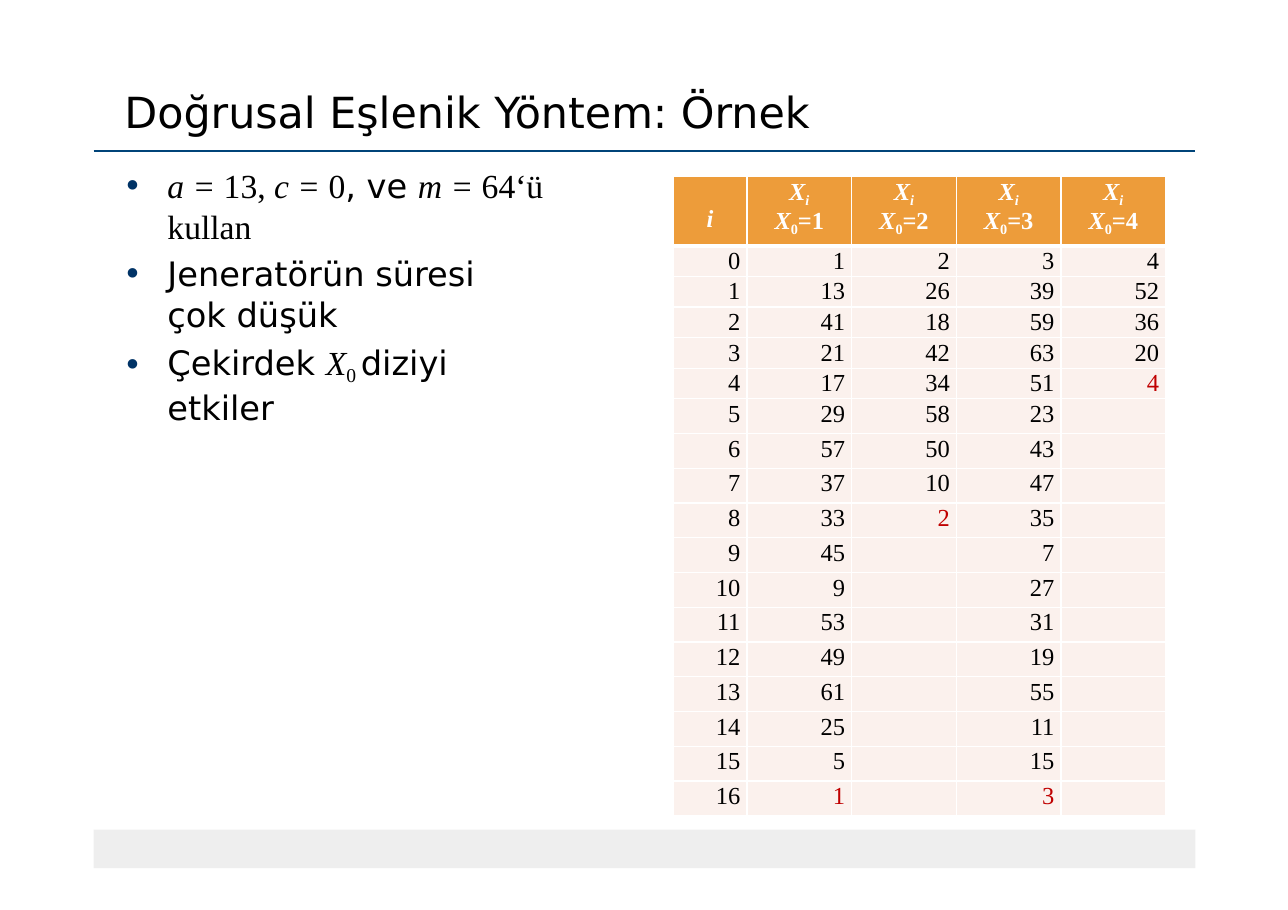
import lxml.etree
import pptx
import pptx.dml.color
import pptx.enum.shapes
import pptx.enum.text
import pptx.oxml.ns
import pptx.util

Inches = pptx.util.Inches
Pt = pptx.util.Pt
RGBColor = pptx.dml.color.RGBColor
Align = pptx.enum.text.PP_ALIGN
qn = pptx.oxml.ns.qn

BLACK = RGBColor(0x00, 0x00, 0x00)
WHITE = RGBColor(0xFF, 0xFF, 0xFF)
RED = RGBColor(0xC0, 0x00, 0x00)
RULE_BLUE = RGBColor(0x00, 0x44, 0x79)
BULLET_NAVY = RGBColor(0x00, 0x33, 0x66)
FOOTER_GREY = RGBColor(0xEE, 0xEE, 0xEE)
HEADER_ORANGE = RGBColor(0xED, 0x9C, 0x3A)
ROW_PINK = RGBColor(0xFB, 0xF1, 0xED)

SANS = "DejaVu Sans"
SERIF = "Times New Roman"
MULTIPLIER, MODULUS = 13, 64
SEEDS = (1, 2, 3, 4)
STEPS = 17


def assign(target, values):
    for name, value in values.items():
        setattr(target, name, value)


def add_child(parent, tag, **attributes):
    return lxml.etree.SubElement(parent, qn(tag), attributes)


def sequence(seed):
    values = [seed]
    while len(values) == 1 or values[-1] != seed:
        values.append(MULTIPLIER * values[-1] % MODULUS)
    return values


class LectureSlide:
    styles = {
        "title": dict(name=SANS, size=Pt(28)),
        "sans": dict(name=SANS, size=Pt(22)),
        "serif": dict(name=SERIF, size=Pt(22)),
        "variable": dict(name=SERIF, size=Pt(22), italic=True),
        "index": dict(name=SERIF, size=Pt(22)),
        "head": dict(name=SERIF, size=Pt(16), bold=True),
        "head variable": dict(name=SERIF, size=Pt(16), bold=True, italic=True),
        "head index": dict(name=SERIF, size=Pt(16), bold=True),
        "head variable index": dict(name=SERIF, size=Pt(16), bold=True, italic=True),
        "number": dict(name=SERIF, size=Pt(16)),
    }

    def __init__(self, deck):
        self.slide = deck.slides.add_slide(deck.slide_layouts[1])

    def add_runs(self, paragraph, runs, color=BLACK):
        for text, style in runs:
            if text == "\n":
                paragraph.add_line_break()
                continue
            run = paragraph.add_run()
            run.text = text
            assign(run.font, self.styles[style])
            run.font.color.rgb = color
            if style.endswith("index"):
                run._r.get_or_add_rPr().set("baseline", "-21000")

    def place(self, holder, left, top, width, height, inset):
        assign(holder, dict(left=Inches(left), top=Inches(top),
                            width=Inches(width), height=Inches(height)))
        assign(holder.text_frame, dict(
            margin_left=0, margin_right=0, margin_top=Inches(inset), margin_bottom=0,
            word_wrap=True, auto_size=pptx.enum.text.MSO_AUTO_SIZE.NONE,
            vertical_anchor=pptx.enum.text.MSO_ANCHOR.TOP))
        return holder.text_frame

    def band(self, left, top, width, height):
        footer = self.slide.shapes.add_shape(
            pptx.enum.shapes.MSO_SHAPE.RECTANGLE,
            Inches(left), Inches(top), Inches(width), Inches(height))
        footer.shadow.inherit = False
        footer.fill.solid()
        footer.fill.fore_color.rgb = FOOTER_GREY
        footer.line.fill.background()

    def rule(self, left, top, right):
        divider = self.slide.shapes.add_connector(
            pptx.enum.shapes.MSO_CONNECTOR.STRAIGHT,
            Inches(left), Inches(top), Inches(right), Inches(top))
        divider.line.color.rgb = RULE_BLUE
        divider.line.width = Pt(1)
        add_child(divider._element.spPr, "a:effectLst")

    def title(self, text):
        frame = self.place(self.slide.shapes.title, 1.13, 0.76, 7.41, 0.49, 0.02)
        heading = frame.paragraphs[0]
        heading.alignment = Align.LEFT
        self.add_runs(heading, [(text, "title")])

    def bullets(self, items):
        frame = self.place(self.slide.placeholders[1], 1.1, 1.43, 4.53, 2.45, 0.07)
        for number, (right_indent, spacing, before, runs) in enumerate(items):
            point = frame.add_paragraph() if number else frame.paragraphs[0]
            assign(point, dict(alignment=Align.LEFT, line_spacing=spacing,
                               space_before=Pt(before), space_after=Pt(0)))
            properties = point._p.get_or_add_pPr()
            for name, length in dict(marL=0.42, marR=right_indent, indent=-0.38).items():
                properties.set(name, str(int(Inches(length))))
            add_child(add_child(properties, "a:buClr"), "a:srgbClr", val=str(BULLET_NAVY))
            add_child(properties, "a:buSzPct", val="118000")
            add_child(properties, "a:buFont", typeface=SERIF)
            add_child(properties, "a:buChar", char="•")
            self.add_runs(point, runs)

    def cell(self, cell, runs, fill, edges, margins, layout, color):
        properties = cell._tc.get_or_add_tcPr()
        for side, width in zip("LRTB", edges):
            edge = add_child(properties, "a:ln" + side, w=str(int(Pt(width))))
            add_child(add_child(edge, "a:solidFill"), "a:srgbClr", val=str(WHITE))
        cell.fill.solid()
        cell.fill.fore_color.rgb = fill
        for side in ("left", "right", "top", "bottom"):
            setattr(cell, "margin_" + side, Inches(margins.get(side, 0)))
        content = cell.text_frame.paragraphs[0]
        assign(content, layout)
        self.add_runs(content, runs, color)

    def sequences(self, left, top, widths, header_height, height):
        table = self.slide.shapes.add_table(
            STEPS + 1, len(widths), Inches(left), Inches(top),
            Inches(sum(widths)), Inches(height)).table
        assign(table, dict(first_row=False, horz_banding=False))
        for column, width in zip(table.columns, widths):
            column.width = Inches(width)
        for row in table.rows:
            row.height = Inches((height - header_height) / STEPS)
        table.rows[0].height = Inches(header_height)

        centered = dict(alignment=Align.CENTER)
        stacked = dict(alignment=Align.CENTER, line_spacing=Pt(19), space_before=Pt(2))
        numeric = dict(alignment=Align.RIGHT, line_spacing=Pt(18.2), space_before=Pt(0.8))
        head_edges = (1, 1, 1, 3)
        self.cell(table.cell(0, 0), [("i", "head variable")], HEADER_ORANGE,
                  head_edges, dict(top=0.27), centered, WHITE)
        for column, seed in enumerate(SEEDS, 1):
            label = [("X", "head variable"), ("i", "head variable index"), ("\n", None),
                     ("X", "head variable"), ("0", "head index"), (f"={seed}", "head")]
            self.cell(table.cell(0, column), label, HEADER_ORANGE,
                      head_edges, dict(top=0.03), stacked, WHITE)

        for column, values in enumerate([range(STEPS)] + [sequence(s) for s in SEEDS]):
            for step in range(STEPS):
                runs = [(str(values[step]), "number")] if step < len(values) else []
                repeats = column > 0 and step > 0 and runs and values[step] == values[0]
                self.cell(table.cell(step + 1, column), runs, ROW_PINK,
                          (1, 1, 1 if step else 3, 1), dict(top=0.01, right=0.06),
                          numeric, RED if repeats else BLACK)


def main():
    deck = pptx.Presentation()
    assign(deck, dict(slide_width=Inches(11.69), slide_height=Inches(8.26)))
    lecture = LectureSlide(deck)
    lecture.band(0.85, 7.53, 10, 0.35)
    lecture.rule(0.85, 1.37, 10.85)
    lecture.title("Doğrusal Eşlenik Yöntem: Örnek")
    lecture.bullets([
        (0, 1.0, 5.4, [("a = ", "variable"), ("13, ", "serif"), ("c = ", "variable"),
                       ("0", "serif"), (", ve ", "sans"), ("m = ", "variable"),
                       ("64‘ü kullan", "serif")]),
        (0.9, 1.01, 4.5, [("Jeneratörün süresi çok düşük", "sans")]),
        (0.9, 1.01, 4.5, [("Çekirdek ", "sans"), ("X", "variable"), ("0 ", "index"),
                          ("diziyi etkiler", "sans")]),
    ])
    lecture.sequences(6.11, 1.6, (0.67, 0.95, 0.95, 0.95, 0.95), 0.63, 5.36)
    deck.save("out.pptx")


if __name__ == "__main__":
    main()
